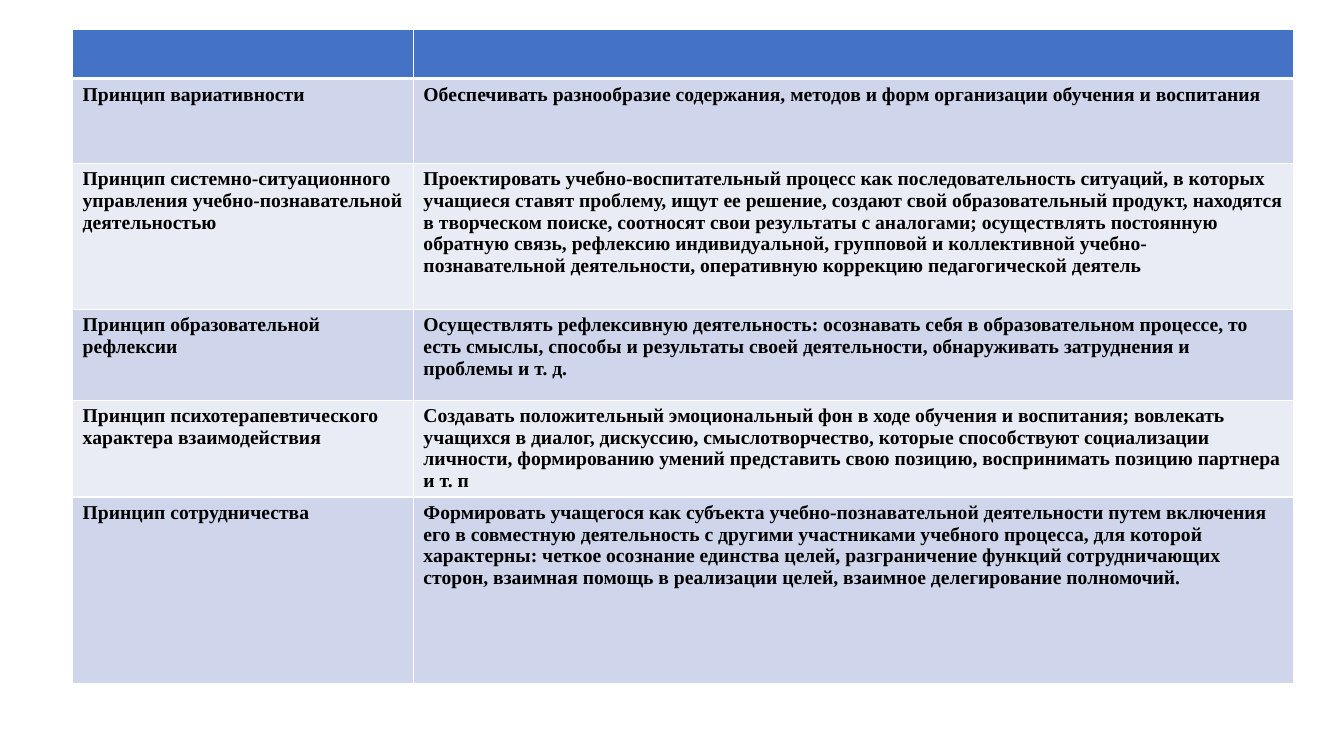
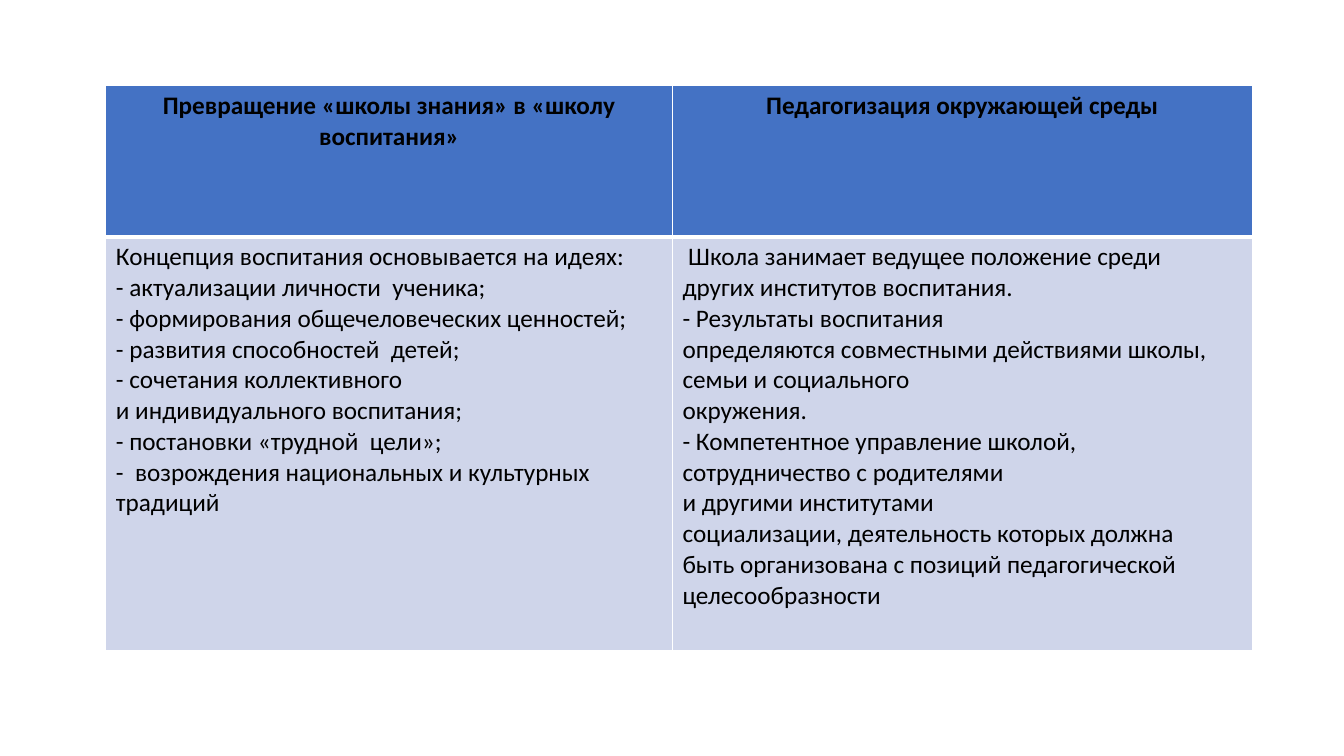
from lxml.etree import SubElement
from pptx import Presentation
from pptx.dml.color import RGBColor
from pptx.enum.text import PP_ALIGN
from pptx.oxml.ns import qn
from pptx.util import Inches, Pt

HEADER = "4472C4"
BANDS = ["CFD5EA", "E9EBF5"]
WHITE = "FFFFFF"
BLACK = "000000"


def add_borders(cell, **widths):
    """Draw white cell borders; widths in points are keyed L, R, T, B."""
    tcPr = cell._tc.get_or_add_tcPr()
    for side, width in widths.items():
        ln = SubElement(tcPr, qn(f"a:ln{side}"), w=str(Pt(width)))
        fill = SubElement(ln, qn("a:solidFill"))
        SubElement(fill, qn("a:srgbClr"), val=WHITE)


def write_cell(cell, text, *, fill, font, size, bold=False, align=PP_ALIGN.LEFT):
    cell.fill.solid()
    cell.fill.fore_color.rgb = RGBColor.from_string(fill)
    cell.text = text
    for p in cell.text_frame.paragraphs:
        p.alignment = align
        p.font.name = font
        p.font.size = Pt(size)
        p.font.bold = bold
        p.font.color.rgb = RGBColor.from_string(BLACK)


principles = [
    ("", ""),
    ("Принцип вариативности",
     "Обеспечивать разнообразие содержания, методов и форм организации "
     "обучения и воспитания"),
    ("Принцип системно-ситуационного управления учебно-познавательной "
     "деятельностью",
     "Проектировать учебно-воспитательный процесс как последовательность "
     "ситуаций, в которых учащиеся ставят проблему, ищут ее решение, создают "
     "свой образовательный продукт, находятся в творческом поиске, соотносят "
     "свои результаты с аналогами; осуществлять постоянную обратную связь, "
     "рефлексию индивидуальной, групповой и коллективной "
     "учебно-познавательной деятельности, оперативную коррекцию "
     "педагогической деятель"),
    ("Принцип образовательной рефлексии",
     "Осуществлять рефлексивную деятельность: осознавать себя в "
     "образовательном процессе, то есть смыслы, способы и результаты своей "
     "деятельности, обнаруживать затруднения и проблемы и т. д."),
    ("Принцип психотерапевтического характера взаимодействия",
     "Создавать положительный эмоциональный фон в ходе обучения и "
     "воспитания; вовлекать учащихся в диалог, дискуссию, смыслотворчество, "
     "которые способствуют социализации личности, формированию умений "
     "представить свою позицию, воспринимать позицию партнера и т. п"),
    ("Принцип сотрудничества",
     "Формировать учащегося как субъекта учебно-познавательной деятельности "
     "путем включения его в совместную деятельность с другими участниками "
     "учебного процесса, для которой характерны: четкое осознание единства "
     "целей, разграничение функций сотрудничающих сторон, взаимная помощь в "
     "реализации целей, взаимное делегирование полномочий."),
]

school_ideas = [
    "Концепция воспитания основывается на идеях:",
    "- актуализации личности  ученика;",
    "- формирования общечеловеческих ценностей;",
    "- развития способностей  детей;",
    "- сочетания коллективного",
    "и индивидуального воспитания;",
    "- постановки «трудной  цели»;",
    "-  возрождения национальных и культурных",
    "традиций",
]
environment_ideas = [
    " Школа занимает ведущее положение среди",
    "других институтов воспитания.",
    "- Результаты воспитания",
    "определяются совместными действиями школы, семьи и социального",
    "окружения.",
    "- Компетентное управление школой, сотрудничество с родителями",
    "и другими институтами",
    "социализации, деятельность которых должна",
    "быть организована с позиций педагогической",
    "целесообразности",
]
concepts = [
    ("Превращение «школы знания» в «школу воспитания»",
     "Педагогизация окружающей среды"),
    ("\n".join(school_ideas), "\n".join(environment_ideas)),
]

# left, top, column widths, row heights, cell texts, header format, body format
tables = [
    (0.72, 0.29, [3.38, 8.73], [0.49, 0.84, 1.45, 0.9, 0.96, 1.85], principles,
     dict(font="Times New Roman", size=14, bold=True),
     dict(font="Times New Roman", size=14, bold=True)),
    (1.05, 0.85, [5.62, 5.75], [1.5, 4.1], concepts,
     dict(font="Calibri", size=18, bold=True, align=PP_ALIGN.CENTER),
     dict(font="Calibri", size=18)),
]

prs = Presentation()
prs.slide_width = Inches(13.33)
prs.slide_height = Inches(7.5)

for left, top, widths, heights, texts, header_format, body_format in tables:
    s = prs.slides.add_slide(prs.slide_layouts[6])
    table = s.shapes.add_table(
        len(heights), len(widths), Inches(left), Inches(top),
        Inches(sum(widths)), Inches(sum(heights))).table
    for column, width in zip(table.columns, widths):
        column.width = Inches(width)
    for i, (row, height) in enumerate(zip(table.rows, heights)):
        row.height = Inches(height)
        fill = BANDS[(i - 1) % 2] if i else HEADER
        text_format = body_format if i else header_format
        for cell, text in zip(row.cells, texts[i]):
            add_borders(cell, L=1, R=1, T=3 if i == 1 else 1, B=1 if i else 3)
            write_cell(cell, text, fill=fill, **text_format)

prs.save("out.pptx")
